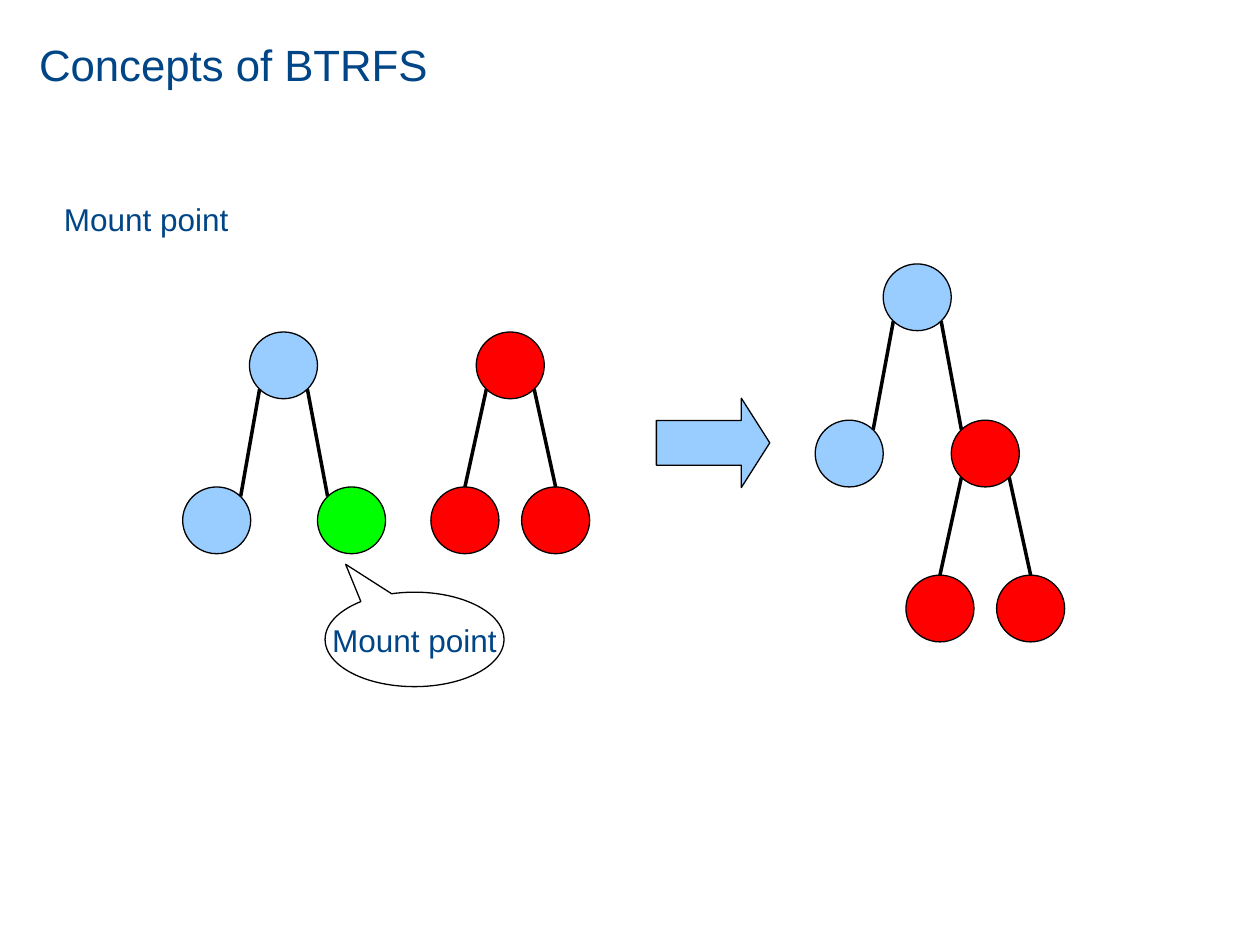
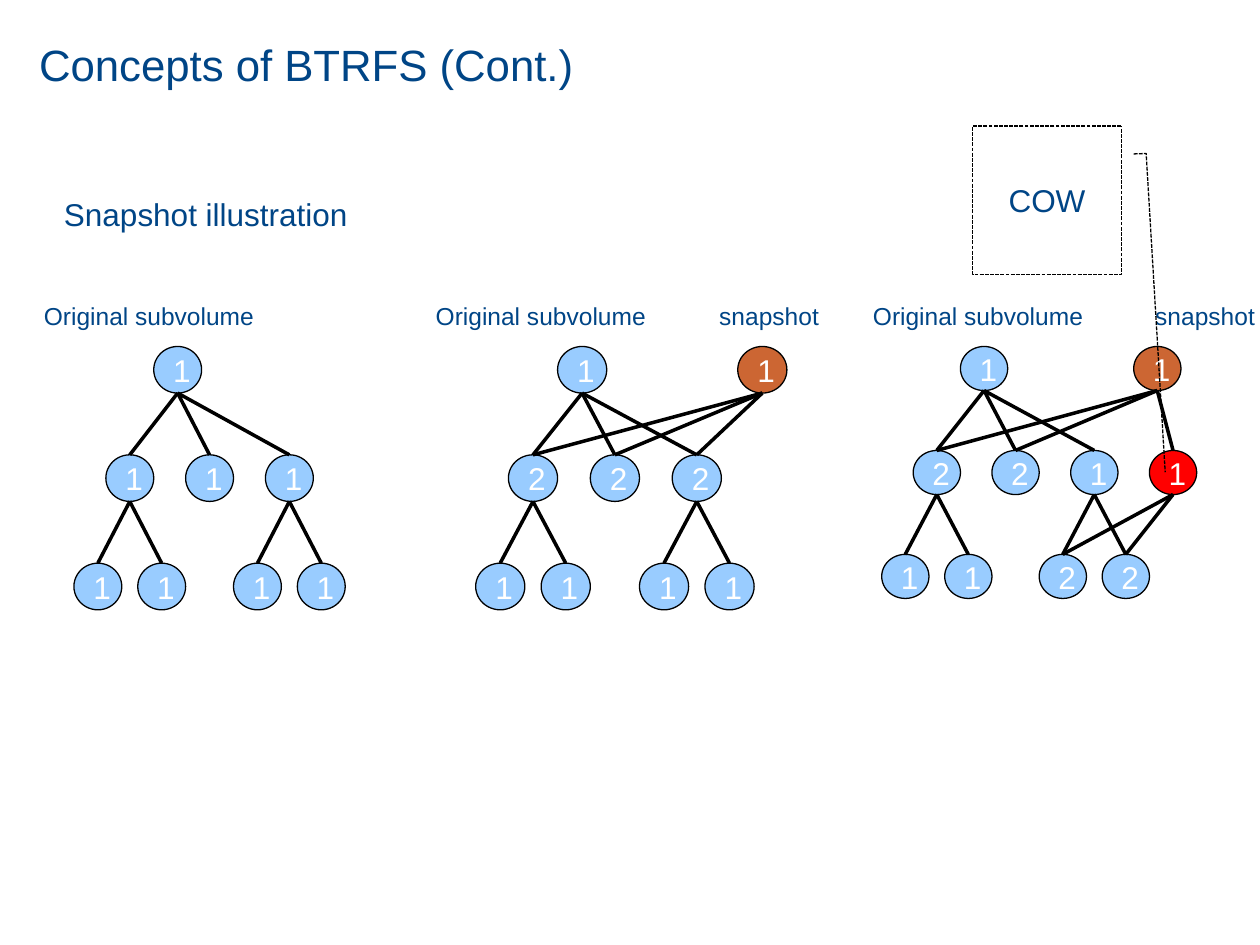
from lxml.etree import SubElement
from pptx import Presentation
from pptx.dml.color import RGBColor
from pptx.enum.dml import MSO_LINE
from pptx.enum.shapes import MSO_CONNECTOR, MSO_SHAPE
from pptx.enum.text import MSO_ANCHOR, MSO_AUTO_SIZE, PP_ALIGN
from pptx.oxml.ns import qn
from pptx.util import Inches, Pt

# Shared style
FONT = "Arial"
COLORS = {"text": "004586", "line": "000000", "white": "FFFFFF", "blue": "99CCFF",
          "red": "FF0000", "green": "00FF00", "brown": "CC6633"}

# Slide 1: node centres and colours, then parent-child pairs
MOUNT_TITLE = "Concepts of BTRFS"
MOUNT_NODES = {
    "root": (2.25, 2.9, "blue"), "file": (1.72, 4.13, "blue"), "mount": (2.79, 4.13, "green"),
    "sub": (4.05, 2.9, "red"), "sub a": (3.69, 4.13, "red"), "sub b": (4.41, 4.13, "red"),
    "new root": (7.28, 2.36, "blue"), "new file": (6.74, 3.6, "blue"),
    "new sub": (7.82, 3.6, "red"),
    "new a": (7.46, 4.83, "red"), "new b": (8.18, 4.83, "red"),
}
WIDE_EDGES = [("root", "file"), ("root", "mount"),
              ("new root", "new file"), ("new root", "new sub")]
NARROW_EDGES = [("sub", "sub a"), ("sub", "sub b"),
                ("new sub", "new a"), ("new sub", "new b")]
MOUNT_SIZE = (0.54, 0.53)
DIAGONAL = 0.19  # offset of a circle's 45 degree point from its centre

# Slide 2: node columns (in thirds of a node width from the root) and rows
SNAP_TITLE = "Concepts of BTRFS (Cont.)"
GRID = {"root": (0, 0), "a": (-3, 1), "b": (2, 1), "c": (7, 1),
        "a1": (-5, 2), "a2": (-1, 2), "c1": (5, 2), "c2": (9, 2),
        "snap": (11, 0), "copy": (12, 1)}
NODE_COLORS = {"snap": "brown", "copy": "red"}
TREE = [("root", "a"), ("root", "b"), ("root", "c"),
        ("a", "a1"), ("a", "a2"), ("c", "c1"), ("c", "c2")]
SNAP_TOP = 2.75
PANELS = [
    {"root_x": 1.41, "size": (0.38, 0.37), "pitch": 0.86, "shared": [],
     "counts": {"root": 1, "a": 1, "b": 1, "c": 1, "a1": 1, "a2": 1, "c1": 1, "c2": 1}},
    {"root_x": 4.62, "size": (0.39, 0.37), "pitch": 0.86,
     "shared": [("snap", "a"), ("snap", "b"), ("snap", "c")],
     "counts": {"root": 1, "a": 2, "b": 2, "c": 2, "a1": 1, "a2": 1, "c1": 1, "c2": 1,
                "snap": 1}},
    {"root_x": 7.81, "size": (0.375, 0.35), "pitch": 0.825,
     "shared": [("snap", "a"), ("snap", "b"), ("snap", "copy"),
                ("copy", "c1"), ("copy", "c2")],
     "counts": {"root": 1, "a": 2, "b": 2, "c": 1, "a1": 1, "a2": 1, "c1": 2, "c2": 2,
                "snap": 1, "copy": 1}},
]
LABELS = [(0.25, 1.87, "Original subvolume"), (3.36, 1.87, "Original subvolume"),
          (5.61, 0.99, "snapshot"), (6.83, 1.87, "Original subvolume"),
          (9.07, 0.99, "snapshot")]


def rgb(name):
    return RGBColor.from_string(COLORS[name])


def write(sp, text, size=18, color="text", align=PP_ALIGN.LEFT, anchor=MSO_ANCHOR.TOP,
          wrap=True):
    tf = sp.text_frame
    tf.word_wrap = wrap
    tf.vertical_anchor = anchor
    tf.auto_size = MSO_AUTO_SIZE.NONE
    p = tf.paragraphs[0]
    p.alignment = align
    r = p.add_run()
    r.text = text
    r.font.name = FONT
    r.font.size = Pt(size)
    r.font.color.rgb = rgb(color)


def write_centred(sp, text, color="text", wrap=False):
    write(sp, text, 18, color, PP_ALIGN.CENTER, MSO_ANCHOR.MIDDLE, wrap)


def add_text(slide, box, text, size=18, wrap=True):
    write(slide.shapes.add_textbox(*map(Inches, box)), text, size, wrap=wrap)


def add_shape(slide, kind, box, fill=None, adjustments=()):
    sp = slide.shapes.add_shape(kind, *map(Inches, box))
    sp.shadow.inherit = False
    if fill:
        sp.fill.solid()
        sp.fill.fore_color.rgb = rgb(fill)
    else:
        sp.fill.background()
    sp.line.color.rgb = rgb("line")
    sp.line.width = Pt(0)
    for i, value in enumerate(adjustments):
        sp.adjustments[i] = value
    return sp


def add_node(slide, cx, cy, size, color):
    w, h = size
    return add_shape(slide, MSO_SHAPE.OVAL, (cx - w / 2, cy - h / 2, w, h), color)


def add_line(slide, start, end):
    line = slide.shapes.add_connector(MSO_CONNECTOR.STRAIGHT, *map(Inches, start + end))
    line.line.color.rgb = rgb("line")
    line.line.width = Pt(0)
    SubElement(line._element.spPr, qn("a:effectLst"))
    return line


def add_slide(prs, title, title_width, heading, heading_top, heading_height):
    slide = prs.slides.add_slide(prs.slide_layouts[5])
    sp = slide.shapes.title
    sp.left, sp.top, sp.width, sp.height = map(Inches, (0.21, 0.25, title_width, 0.52))
    write(sp, title, 25, wrap=False)
    add_text(slide, (0.41, heading_top, 8.84, heading_height), heading)
    return slide


def build_mount_slide(prs):
    slide = add_slide(prs, MOUNT_TITLE, 3.29, "Mount point", 1.54, 1.71)
    nodes = {name: add_node(slide, cx, cy, MOUNT_SIZE, color)
             for name, (cx, cy, color) in MOUNT_NODES.items()}

    # Edges leave the parent at its lower diagonal points
    for parent, child in WIDE_EDGES + NARROW_EDGES:
        px, py, _ = MOUNT_NODES[parent]
        cx, cy, _ = MOUNT_NODES[child]
        dx = DIAGONAL if cx > px else -DIAGONAL
        start = (px + dx, py + DIAGONAL)
        line = add_line(slide, start, (cx - dx, cy - DIAGONAL))
        if (parent, child) in NARROW_EDGES:
            line.end_connect(nodes[child], 0)

    add_shape(slide, MSO_SHAPE.RIGHT_ARROW, (5.21, 3.16, 0.9, 0.71), "blue", (0.5, 0.318))
    callout = add_shape(slide, MSO_SHAPE.OVAL_CALLOUT, (2.58, 4.7, 1.42, 0.75),
                        adjustments=(-0.385, -0.796))
    write_centred(callout, "Mount point")


def add_panel(slide, panel):
    w, h = panel["size"]
    centres, nodes = {}, {}
    for name, count in panel["counts"].items():
        col, row = GRID[name]
        cx = panel["root_x"] + col * w / 3
        cy = SNAP_TOP + h / 2 + row * panel["pitch"]
        centres[name] = cx, cy
        nodes[name] = add_node(slide, cx, cy, (w, h), NODE_COLORS.get(name, "blue"))
        write_centred(nodes[name], str(count), "white", wrap=True)
    for parent, child in TREE + panel["shared"]:
        (px, py), (cx, cy) = centres[parent], centres[child]
        line = add_line(slide, (px, py + h / 2), (cx, cy - h / 2))
        line.end_connect(nodes[child], 0)


def build_snapshot_slide(prs):
    slide = add_slide(prs, SNAP_TITLE, 4.44, "Snapshot illustration", 1.5, 1.51)
    for panel in PANELS:
        add_panel(slide, panel)
    for left, width, text in LABELS:
        add_text(slide, (left, 2.34, width, 0.33), text, 14, wrap=False)

    # Dashed callout, mirrored so that its leader starts on the right
    cow = add_shape(slide, MSO_SHAPE.LINE_CALLOUT_2, (7.72, 1, 1.18, 1.18),
                    adjustments=(0.188, -0.083, 0.185, -0.167, 2.329, -0.295))
    cow.line.dash_style = MSO_LINE.SQUARE_DOT
    cow._element.spPr.find(qn("a:xfrm")).set("flipH", "1")
    write_centred(cow, "COW")


def main():
    prs = Presentation()
    prs.slide_width, prs.slide_height = Inches(10), Inches(7.5)
    build_mount_slide(prs)
    build_snapshot_slide(prs)
    prs.save("out.pptx")


if __name__ == "__main__":
    main()
